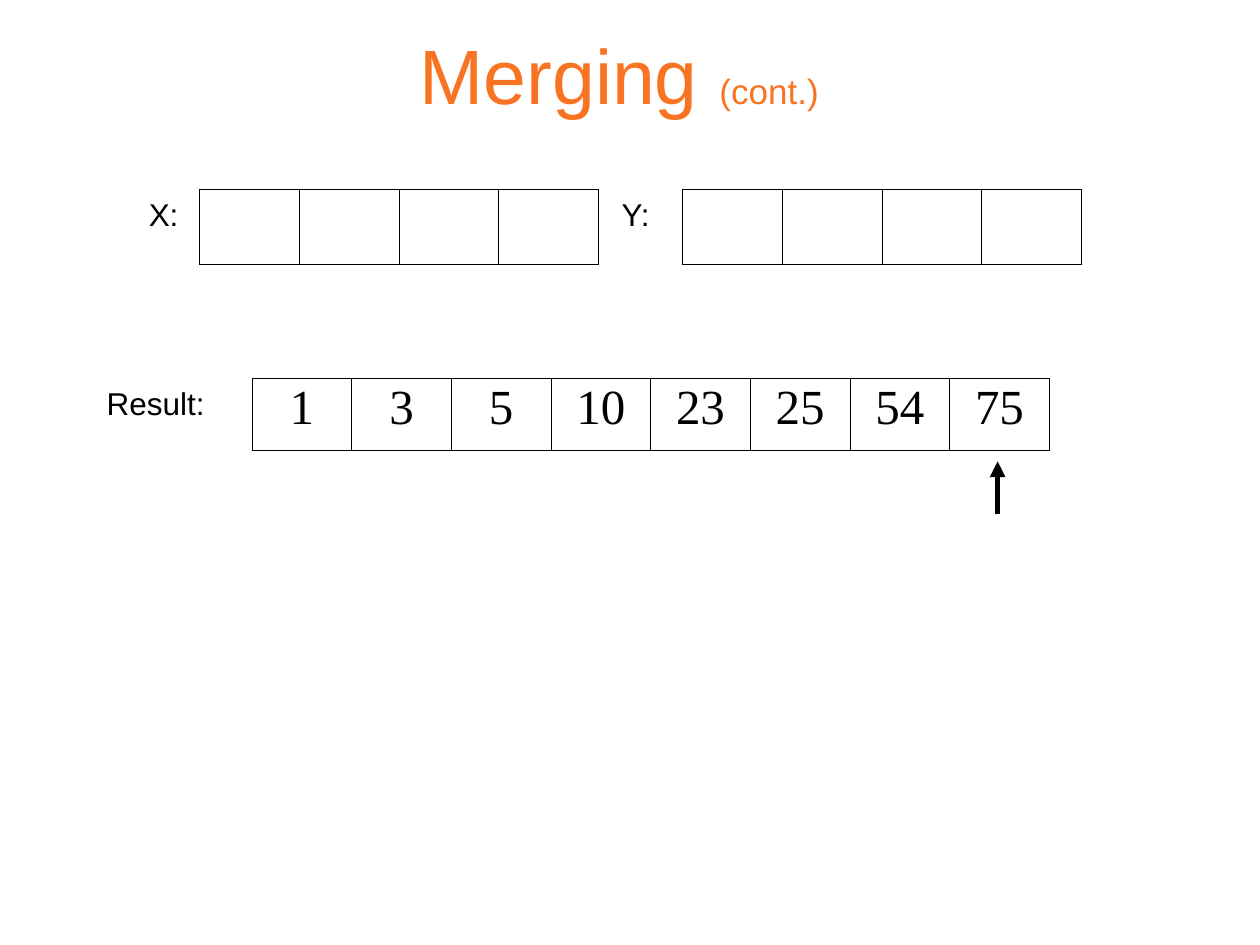
from pptx import Presentation
from pptx.dml.color import RGBColor
from pptx.enum.shapes import MSO_CONNECTOR
from pptx.enum.text import MSO_ANCHOR, MSO_AUTO_SIZE, PP_ALIGN
from pptx.oxml.ns import qn
from pptx.util import Cm, Pt
from lxml.etree import SubElement

COLORS = {"title": "F87422", "ink": "000000"}
CELL_W = 2.01


class MergeSlide:
    """Holds the style and the current slide, and draws its elements."""

    def __init__(self, prs):
        self.s = prs.slides.add_slide(prs.slide_layouts[6])
        self.font, self.cell_font = "Arial", "Times New Roman"
        self.outer, self.inner = Pt(0.5), Pt(0.23)

    def run(self, p, text, size, font, color="ink"):
        r = p.add_run()
        r.text = text
        r.font.size, r.font.name = Pt(size), font
        r.font.color.rgb = RGBColor.from_string(COLORS[color])

    def box(self, x, y, w, h):
        sp = self.s.shapes.add_textbox(Cm(x), Cm(y), Cm(w), Cm(h))
        sp.text_frame.word_wrap = True
        return sp.text_frame

    def title(self, x, y, w, h, runs):
        tf = self.box(x, y, w, h)
        tf.vertical_anchor = MSO_ANCHOR.MIDDLE
        p = tf.paragraphs[0]
        p.alignment = PP_ALIGN.CENTER
        for text, size in runs:
            self.run(p, text, size, self.font, "title")

    def label(self, x, y, w, text):
        tf = self.box(x, y, w, 1.02)
        tf.auto_size = MSO_AUTO_SIZE.SHAPE_TO_FIT_TEXT
        self.run(tf.paragraphs[0], text, 18, self.font)

    def border(self, cell, side, width):
        ln = SubElement(cell._tc.get_or_add_tcPr(), qn(f"a:ln{side}"), w=str(width))
        fill = SubElement(ln, qn("a:solidFill"))
        SubElement(fill, qn("a:srgbClr"), val=COLORS["ink"])

    def array(self, x, y, h, values):
        n = len(values)
        table = self.s.shapes.add_table(1, n, Cm(x), Cm(y), Cm(CELL_W * n), Cm(h)).table
        table.first_row = table.horz_banding = False
        for i, value in enumerate(values):
            table.columns[i].width = Cm(CELL_W)
            cell = table.cell(0, i)
            self.border(cell, "L", self.outer if i == 0 else self.inner)
            self.border(cell, "R", self.outer if i == n - 1 else self.inner)
            self.border(cell, "T", self.outer)
            self.border(cell, "B", self.outer)
            cell.fill.background()
            if value:
                p = cell.text_frame.paragraphs[0]
                p.alignment, p.line_spacing = PP_ALIGN.CENTER, 0.93
                self.run(p, value, 28, self.cell_font)

    def arrow(self, x, y1, y2):
        c = self.s.shapes.add_connector(MSO_CONNECTOR.STRAIGHT, Cm(x), Cm(y1), Cm(x), Cm(y2))
        c.line.width = Pt(3)
        c.line.color.rgb = RGBColor.from_string(COLORS["ink"])
        SubElement(c.line._get_or_add_ln(), qn("a:tailEnd"), type="triangle")
        SubElement(c._element.spPr, qn("a:effectLst"))


def main():
    prs = Presentation()
    prs.slide_width, prs.slide_height = Cm(25.4), Cm(19.05)
    slide = MergeSlide(prs)
    slide.title(1.9, 0.43, 21.6, 2.11, [("Merging ", 44), ("(cont.)", 20), (" ", 44)])
    for x, y, h, values in [
        (4.02, 3.81, 1.52, [""] * 4),
        (13.76, 3.81, 1.52, [""] * 4),
        (5.08, 7.62, 1.45, ["1", "3", "5", "10", "23", "25", "54", "75"]),
    ]:
        slide.array(x, y, h, values)
    slide.arrow(20.11, 10.37, 9.3)
    for x, y, w, text in [
        (2.75, 3.81, 1.48, "X:"),
        (12.28, 3.81, 1.48, "Y:"),
        (1.9, 7.62, 2.96, "Result:"),
    ]:
        slide.label(x, y, w, text)
    prs.save("out.pptx")


if __name__ == "__main__":
    main()
